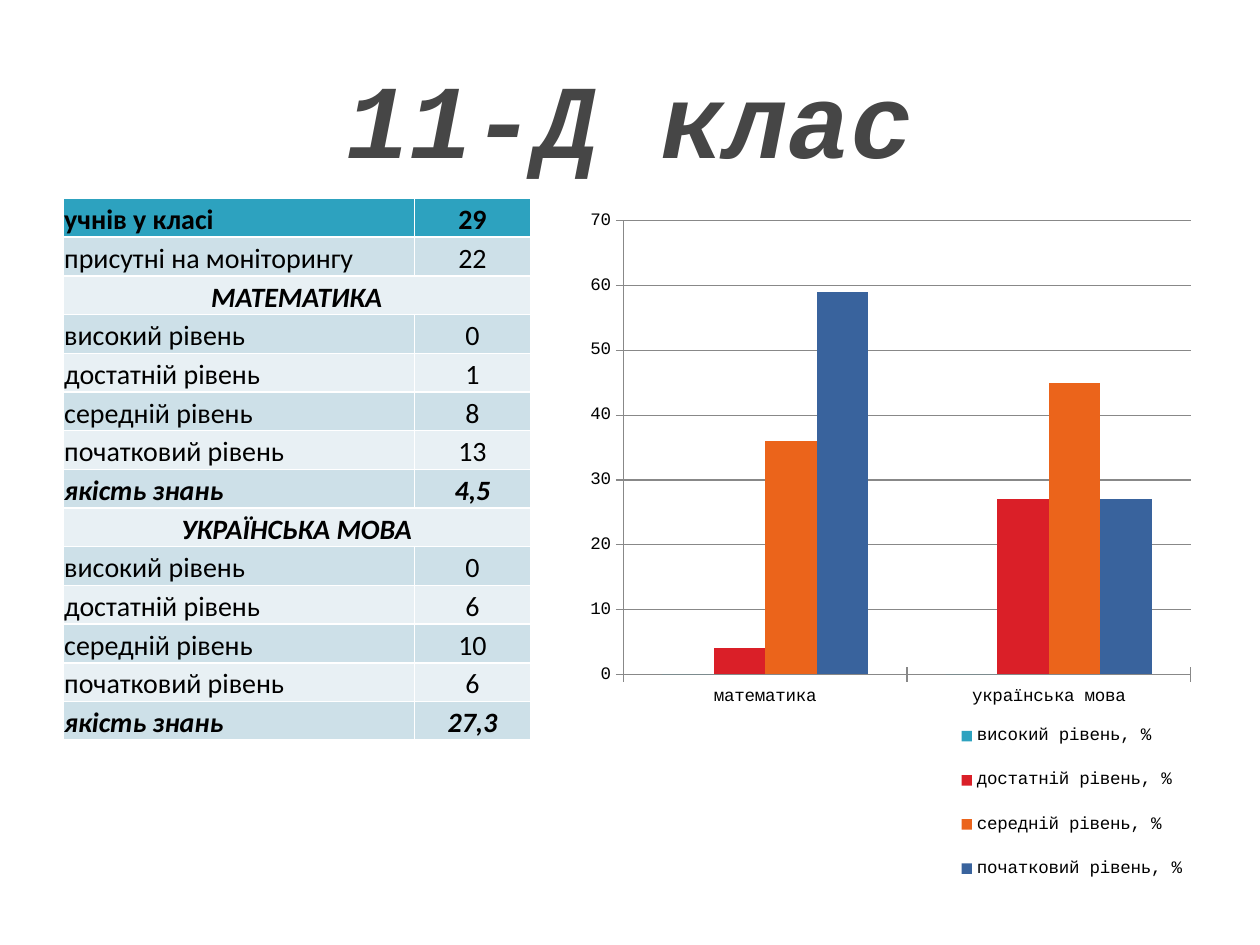
"""Build the slide with monitoring results of class 11-Д: a table and a column chart."""
from lxml.etree import SubElement
from pptx import Presentation
from pptx.chart.data import CategoryChartData
from pptx.dml.color import RGBColor
from pptx.enum.chart import XL_CHART_TYPE as CT, XL_LEGEND_POSITION as LP, XL_TICK_MARK as TM
from pptx.enum.text import MSO_ANCHOR as ANCHOR, PP_ALIGN as ALIGN
from pptx.oxml.ns import qn
from pptx.util import Inches, Pt

BLACK = RGBColor(0x00, 0x00, 0x00)
GRAPHITE = RGBColor(0x46, 0x46, 0x46)
GRAY = RGBColor(0x88, 0x88, 0x88)
TEAL = RGBColor(0x2D, 0xA2, 0xBF)
RED = RGBColor(0xDA, 0x1F, 0x28)
ORANGE = RGBColor(0xEB, 0x64, 0x1B)
BLUE = RGBColor(0x39, 0x63, 0x9D)
BANDS = [RGBColor(0xE8, 0xF0, 0xF4), RGBColor(0xCD, 0xE0, 0xE8)]
LEVELS = ["високий рівень", "достатній рівень", "середній рівень", "початковий рівень"]
QUALITY = "якість знань"


def write(tf, text, font, size, color, bold, italic, align):
    p = tf.paragraphs[0]
    p.alignment = align
    r = p.add_run()
    r.text = text
    f = r.font
    f.name, f.size, f.bold, f.italic = font, Pt(size), bold, italic
    f.color.rgb = color


def place(parent, index, x, y, w, h, inner=False):
    layout = parent.find(qn("c:layout"))
    if layout is None:
        layout = SubElement(parent, qn("c:layout"))
        parent.insert(index, layout)
    manual = SubElement(layout, qn("c:manualLayout"))
    parts = [("layoutTarget", "inner")] if inner else []
    parts += [("xMode", "edge"), ("yMode", "edge"), ("x", x), ("y", y), ("w", w), ("h", h)]
    for tag, val in parts:
        SubElement(manual, qn(f"c:{tag}")).set("val", str(val))


prs = Presentation()
prs.slide_width, prs.slide_height = Inches(10), Inches(7.5)
W, H = prs.slide_width, prs.slide_height
left, top = int(W * 0.05), int(H * 0.21)
s = prs.slides.add_slide(prs.slide_layouts[5])

title = s.shapes.title
title.left, title.top, title.width, title.height = left, int(H * 0.04), int(W * 0.9), Inches(1.25)
title.text_frame.vertical_anchor = ANCHOR.MIDDLE
write(title.text_frame, "11-Д клас", "Courier New", 60, GRAPHITE, True, True, ALIGN.CENTER)

rows = [("учнів у класі", "29"), ("присутні на моніторингу", "22")]
for subject, counts, quality in [("МАТЕМАТИКА", "0 1 8 13", "4,5"),
                                 ("УКРАЇНСЬКА МОВА", "0 6 10 6", "27,3")]:
    rows += [(subject,), *zip(LEVELS, counts.split()), (QUALITY, quality)]

col_w = [int(W * 0.279), int(W * 0.092)]
row_h = Inches(4.3) // len(rows)
table = s.shapes.add_table(len(rows), 2, left, top, sum(col_w), row_h * len(rows)).table
for col, width in zip(table.columns, col_w):
    col.width = width
for i, row in enumerate(rows):
    table.rows[i].height = row_h
    heading = len(row) == 1
    strong = heading or row[0] == QUALITY
    if heading:
        table.cell(i, 0).merge(table.cell(i, 1))
    for j in range(2):
        cell = table.cell(i, j)
        cell.fill.solid()
        cell.fill.fore_color.rgb = BANDS[i % 2] if i else TEAL
        cell.vertical_anchor = ANCHOR.BOTTOM
        cell.margin_left = cell.margin_top = cell.margin_right = Inches(0.01)
        cell.margin_bottom = 0
        if j < len(row):
            align = ALIGN.CENTER if heading or j else ALIGN.LEFT
            write(cell.text_frame, row[j], "Calibri", 16, BLACK, strong or i == 0, strong, align)

data = CategoryChartData()
data.categories = ["математика", "українська мова"]
for level, values in zip(LEVELS, [(0, 0), (4, 27), (36, 45), (59, 27)]):
    data.add_series(f"{level}, %", values)
chart = s.shapes.add_chart(CT.COLUMN_CLUSTERED, int(W * 0.453), top,
                           int(W * 0.497), int(H * 0.761), data).chart
chart.has_title = False
chart.font.name, chart.font.size = "Courier New", Pt(10)
chart.font.color.rgb = BLACK
plot = chart.plots[0]
plot.gap_width, plot.overlap, plot.vary_by_categories = 150, 0, False
for series, color in zip(plot.series, [TEAL, RED, ORANGE, BLUE]):
    series.format.fill.solid()
    series.format.fill.fore_color.rgb = color

value_axis = chart.value_axis
value_axis.minimum_scale, value_axis.maximum_scale, value_axis.major_unit = 0, 70, 10
value_axis.has_major_gridlines = True
for axis in (value_axis, chart.category_axis):
    axis.major_tick_mark = TM.CROSS
for part in (value_axis, chart.category_axis, value_axis.major_gridlines):
    part.format.line.color.rgb = GRAY
    part.format.line.width = Pt(0.75)

chart.has_legend = True
legend = chart.legend
legend.position, legend.include_in_layout = LP.RIGHT, False
place(plot._element.getparent(), 0, 0.084, 0.031, 0.906, 0.631, inner=True)
place(legend._element, 1, 0.61, 0.7, 0.38, 0.28)

prs.save("out.pptx")
